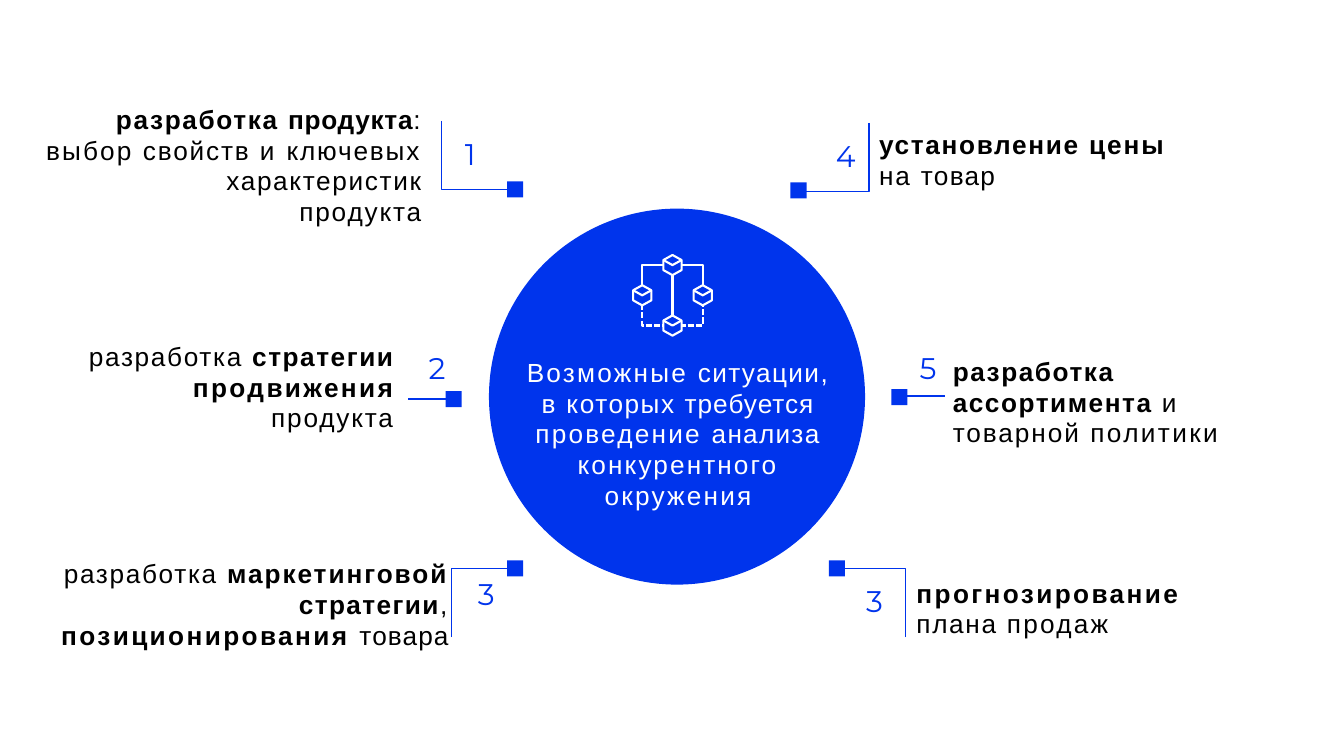
from pptx import Presentation
from pptx.dml.color import RGBColor
from pptx.enum.dml import MSO_LINE
from pptx.enum.shapes import MSO_SHAPE
from pptx.enum.text import MSO_ANCHOR, MSO_AUTO_SIZE, PP_ALIGN
from pptx.util import Inches, Pt

LEFT, CENTER, RIGHT = PP_ALIGN.LEFT, PP_ALIGN.CENTER, PP_ALIGN.RIGHT
TOP, MIDDLE = MSO_ANCHOR.TOP, MSO_ANCHOR.MIDDLE
NO_FIT = MSO_AUTO_SIZE.NONE
OVAL, RECTANGLE = MSO_SHAPE.OVAL, MSO_SHAPE.RECTANGLE
DASH = MSO_LINE.SQUARE_DOT

COLORS = {"blue": "0034EC", "white": "FFFFFF", "black": "000000"}
LABEL_FONT = {"name": "Arial", "size": Pt(18.7)}
NUMBER_FONT = {"name": "Montserrat", "size": Pt(21.3), "bold": False}
FRAME = {
    "margin_left": Inches(0.02), "margin_right": 0,
    "margin_top": Inches(0.03), "margin_bottom": 0,
    "word_wrap": True, "auto_size": NO_FIT,
}
SQUARE = 0.16

# Each paragraph is a list of (text, letter spacing in points, bold); None breaks the line.
TITLE = [[("разработка ", 1.2, False), ("маркетинговой ", 1.4, True),
          ("стратегии", 1, True), (", ", 1, False),
          ("позиционирования ", 1.7, True), ("товара", 0.8, False)]]
CENTER_TEXT = [[("Возможные ", 1.6, False), ("ситуации, ", 1, False),
                ("в ", 1.3, False), ("которых ", 1.1, False),
                ("требуется ", 0.7, False), ("проведение ", 1.6, False),
                ("анализа ", 0.9, False), ("конкурентного ", 1.5, False),
                ("окружения", 1.6, False)]]
LABELS = [
    ((0.32, 1, 3.86, 1.25), RIGHT,
     [[("разработка ", 1.2, True), ("продукта", 0.5, True), (":", 0.5, False), None,
       ("выбор ", 1.5, False), ("свойств ", 1.3, False), ("и ", 1.7, False),
       ("ключевых ", 1.3, False), ("характеристик", 1.2, False)],
      [("продукта", 1.3, False)]]),
    ((0.37, 3.35, 3.53, 0.94), RIGHT,
     [[("разработка ", 1.2, False), ("стратегии", 1.1, True)],
      [("продвижения", 1.7, True)],
      [("продукта", 1.3, False)]]),
    ((8.7, 1.25, 3.14, 0.64), LEFT,
     [[("установление ", 1.2, True), ("цены", 1.4, True)],
      [("на ", 1.3, False), ("товар", 0.9, False)]]),
    ((9.43, 3.5, 2.7, 0.96), LEFT,
     [[("разработка ассортимента ", 1.1, True), ("и ", 1.7, False),
       ("товарной ", 1.4, False), ("политики", 1.7, False)]]),
    ((9.07, 5.7, 2.83, 0.65), LEFT,
     [[("прогнозирование ", 1.7, True), ("плана ", 1.2, False),
       ("продаж", 1.6, False)]]),
]
# Number, its place, and the corner of its square.
MARKERS = [
    ("1", (4.59, 1.33), (5.03, 1.8)),
    ("2", (4.23, 3.45), (4.42, 3.88)),
    ("3", (4.72, 5.69), (5.03, 5.56)),
    ("4", (8.27, 1.35), (7.84, 1.81)),
    ("5", (9.1, 3.45), (8.84, 3.86)),
    ("3", (8.57, 5.76), (8.22, 5.56)),
]
# Callout lines: top left, top right, then the middle and bottom ones together.
CALLOUTS = [
    [[(4.38, 1.2), (4.38, 1.88), (5.12, 1.88)]],
    [[(8.62, 1.22), (8.62, 1.9), (7.95, 1.9)]],
    [[(4.48, 6.32), (4.48, 5.64), (5.13, 5.64)],
     [(8.98, 6.32), (8.98, 5.64), (8.33, 5.64)],
     [(4.42, 3.96), (4.05, 3.96)],
     [(9.37, 3.93), (9, 3.93)]],
]


def rgb(color):
    return RGBColor.from_string(COLORS[color])


def apply_format(target, values):
    for name, value in values.items():
        setattr(target, name, value)


def place(shape, bounds):
    sides = ("left", "top", "width", "height")
    apply_format(shape, {side: Inches(size) for side, size in zip(sides, bounds)})


def write_text(box, paragraphs, align, color="black", anchor=TOP):
    frame = box.text_frame
    apply_format(frame, {**FRAME, "vertical_anchor": anchor})
    for index, runs in enumerate(paragraphs):
        para = frame.add_paragraph() if index else frame.paragraphs[0]
        apply_format(para, {"alignment": align, "line_spacing": Pt(22), "space_before": 0})
        for run in runs:
            if run is None:
                para.add_line_break()
                continue
            text, spacing, bold = run
            span = para.add_run()
            span.text = text
            apply_format(span.font, {**LABEL_FONT, "bold": bold})
            span.font.color.rgb = rgb(color)
            span.font._element.set("spc", str(round(spacing * 100)))


def add_label(page, bounds, paragraphs, align, color="black"):
    box = page.shapes.add_textbox(*map(Inches, bounds))
    write_text(box, paragraphs, align, color)


def add_number(page, number, corner):
    box = page.shapes.add_textbox(*map(Inches, (*corner, 0.22, 0.38)))
    apply_format(box.text_frame, {**FRAME, "margin_top": Inches(0.02)})
    span = box.text_frame.paragraphs[0].add_run()
    span.text = number
    apply_format(span.font, NUMBER_FONT)
    span.font.color.rgb = rgb("blue")


def fill_blue(shape):
    shape.fill.solid()
    shape.fill.fore_color.rgb = rgb("blue")


def add_blue_shape(page, kind, corner, size):
    shape = page.shapes.add_shape(kind, *map(Inches, (*corner, size, size)))
    shape.shadow.inherit = False
    fill_blue(shape)
    shape.line.fill.background()


def add_outline(page, strokes, color, width, closed=False):
    """Draw several strokes, each a list of points, as one unfilled shape."""
    builder = None
    for stroke in strokes:
        start, *others = [(Inches(x), Inches(y)) for x, y in stroke]
        if builder is None:
            builder = page.shapes.build_freeform(*start)
        else:
            builder.move_to(*start)
        builder.add_line_segments(others, close=closed)
    outline = builder.convert_to_shape()
    outline.shadow.inherit = False
    outline.fill.background()
    outline.line.color.rgb = rgb(color)
    outline.line.width = Pt(width)
    return outline


def add_network_icon(page, x, y, reach):
    """Draw four cubes joined by solid lines above and dashed lines below."""
    left, right, top, bottom = x - reach, x + reach, y - reach, y + reach
    upper, lower = ([(left, y), (left, edge), (right, edge), (right, y)]
                    for edge in (top, bottom))
    add_outline(page, [upper, [(x, top), (x, bottom)]], "white", 1.5)
    add_outline(page, [lower], "white", 1.5).line.dash_style = DASH

    wide, high, shoulder = 0.09, 0.1, 0.05
    hexagon = [(0, -high), (wide, -shoulder), (wide, shoulder),
               (0, high), (-wide, shoulder), (-wide, -shoulder)]
    fold = [(-wide, -shoulder), (0, 0), (wide, -shoulder)]
    centers = [(x, top), (left, y), (right, y), (x, bottom)]
    cubes, folds = ([[(cx + dx, cy + dy) for dx, dy in figure] for cx, cy in centers]
                    for figure in (hexagon, fold))
    fill_blue(add_outline(page, cubes, "white", 1.5, closed=True))
    add_outline(page, folds, "white", 1.5)


def main():
    deck = Presentation()
    deck.slide_width, deck.slide_height = Inches(13.33), Inches(7.5)
    page = deck.slides.add_slide(deck.slide_layouts[5])

    title = page.shapes.title
    place(title, (0.25, 5.5, 4.2, 0.96))
    write_text(title, TITLE, RIGHT, anchor=MIDDLE)

    for bounds, align, paragraphs in LABELS:
        add_label(page, bounds, paragraphs, align)

    add_blue_shape(page, OVAL, (4.85, 2.07), 3.73)
    for strokes in CALLOUTS:
        add_outline(page, strokes, "blue", 1)
    for number, number_corner, square_corner in MARKERS:
        add_blue_shape(page, RECTANGLE, square_corner, SQUARE)
        add_number(page, number, number_corner)

    add_network_icon(page, 6.67, 2.93, 0.3)
    add_label(page, (5.19, 3.51, 3.05, 1.58), CENTER_TEXT, CENTER, "white")

    deck.save("out.pptx")


if __name__ == "__main__":
    main()
